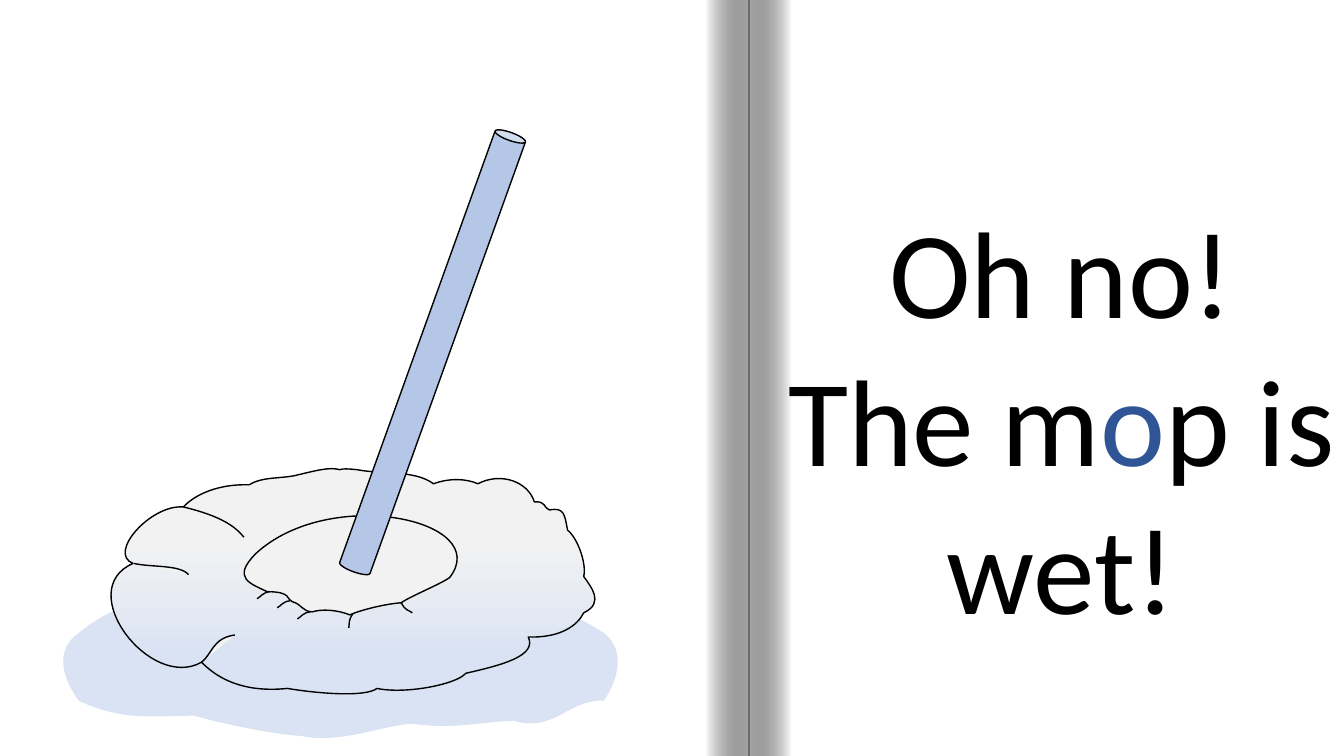
from lxml import etree
from pptx import Presentation
from pptx.dml.color import RGBColor
from pptx.enum.shapes import MSO_SHAPE
from pptx.enum.text import MSO_AUTO_SIZE, PP_ALIGN
from pptx.oxml.ns import qn
from pptx.util import Cm, Pt

RECTANGLE, CAN = MSO_SHAPE.RECTANGLE, MSO_SHAPE.CAN
CENTER = PP_ALIGN.CENTER
GROW = MSO_AUTO_SIZE.SHAPE_TO_FIT_TEXT

BLACK, WHITE = "000000", "FFFFFF"
WOOL, WATER = "F2F2F2", "DAE3F3"
HANDLE_BLUE, VOWEL_BLUE = "B4C7E7", "2F5597"
WIDTH, HEIGHT = 13.33, 7.5

# Outlines in inches: a start point, then three points for each curve
PUDDLE = [
    (0.78, 6.95), (1.21, 7.16), (1.56, 7.1), (1.93, 7.1),
    (2.31, 7.21), (2.84, 7.3), (2.99, 7.3), (3.35, 7.39), (3.85, 7.18), (4.1, 7.18),
    (4.49, 7.24), (4.77, 7.16), (5.09, 7.15), (5.51, 7.27), (5.62, 6.94), (5.99, 6.95),
    (6.21, 6.62), (6.13, 6.38), (5.99, 6.28), (4.85, 5.52), (1.81, 5.42), (0.78, 6.28),
    (0.64, 6.38), (0.52, 6.58), (0.78, 6.95)]
MOP_HEAD = [
    (1.32, 5.59), (1.06, 5.49), (1.5, 5), (1.82, 5.03),
    (1.89, 4.95), (2.1, 4.8), (2.47, 4.81), (2.6, 4.73), (2.77, 4.75), (2.92, 4.72),
    (3.13, 4.67), (3.27, 4.63), (3.37, 4.66), (3.4, 4.65), (3.44, 4.65), (3.54, 4.66),
    (3.8, 4.71), (4.11, 4.66), (4.3, 4.8), (4.46, 4.74), (4.63, 4.75), (4.74, 4.8),
    (4.97, 4.68), (5.24, 4.78), (5.3, 4.98), (5.42, 4.97), (5.39, 5.04), (5.45, 5.06),
    (5.6, 5.03), (5.6, 5.11), (5.63, 5.26), (5.73, 5.34), (5.82, 5.59), (5.79, 5.72),
    (5.86, 5.82), (6, 5.98), (5.79, 6.08), (5.73, 6.2), (5.57, 6.33), (5.24, 6.32),
    (5.33, 6.51), (4.97, 6.6), (4.62, 6.68), (4.53, 6.79), (4.02, 6.89), (3.74, 6.83),
    (3.62, 6.92), (3.15, 6.88), (2.85, 6.83), (2.66, 6.85), (2.28, 6.86), (2, 6.57),
    (1.49, 6.86), (0.72, 5.85), (1.32, 5.59)]
HOLLOW = [
    (2.65, 5.87), (2.49, 5.79), (2.29, 5.74), (2.54, 5.49),
    (3.28, 4.81), (4.9, 5.16), (4.46, 5.73), (4.36, 5.8), (4.06, 5.92), (3.98, 5.98),
    (3.83, 5.99), (3.58, 6.05), (3.47, 6.1), (3.35, 6.05), (3.19, 6.04), (3.1, 6.07),
    (3, 6.07), (2.99, 5.99), (2.9, 5.97), (2.84, 5.95), (2.9, 5.87), (2.65, 5.87)]
FOLDS = [
    [(1.33, 5.59), (1.51, 5.63), (1.78, 5.6), (1.87, 5.7)],
    [(1.82, 5.03), (2.19, 5.12), (2.33, 5.22), (2.42, 5.33)],
    [(2, 6.57), (2.11, 6.48), (2.11, 6.33), (2.33, 6.3)],
    [(3.46, 6.23), (3.47, 6.19), (3.45, 6.16), (3.5, 6.09)],
    [(4.09, 6.08), (4.05, 6.05), (4.02, 6.06), (3.98, 5.98)]]
CURL = [(0, 0), (0.04, -0.02), (0.05, -0.06), (0.13, -0.07)]
CURL_STARTS = [(2.55, 5.94), (2.75, 6.03), (2.95, 6.14)]


def length(inches):
    return Cm(inches * 2.54)


def rgb(hex_color):
    return RGBColor.from_string(hex_color)


def style(shape, fill=None, outlined=False):
    shape.shadow.inherit = False
    if fill:
        shape.fill.solid()
        shape.fill.fore_color.rgb = rgb(fill)
    if outlined:
        shape.line.color.rgb = rgb(BLACK)
        shape.line.width = Pt(1)
    else:
        shape.line.fill.background()


def set_gradient(shape, stops, angle):
    """Fill with stops of (percent, colour, opacity percent)."""
    shape.fill.gradient()
    gradient = shape._element.spPr.find(qn("a:gradFill"))
    for child in list(gradient):
        gradient.remove(child)
    stop_list = etree.SubElement(gradient, qn("a:gsLst"))
    for position, color, opacity in stops:
        stop = etree.SubElement(stop_list, qn("a:gs"), pos=str(position * 1000))
        tint = etree.SubElement(stop, qn("a:srgbClr"), val=color)
        if opacity < 100:
            etree.SubElement(tint, qn("a:alpha"), val=str(opacity * 1000))
    etree.SubElement(gradient, qn("a:lin"), ang=str(angle * 60000), scaled="0")


def add_preset(shapes, preset, left, top, width, height):
    return shapes.add_shape(preset, *map(length, (left, top, width, height)))


def point_on_curve(controls, t):
    weights = ((1 - t) ** 3, 3 * t * (1 - t) ** 2, 3 * t * t * (1 - t), t ** 3)
    return tuple(sum(w * p[axis] for w, p in zip(weights, controls)) for axis in (0, 1))


def add_curves(shapes, outline, closed=True):
    """Size a freeform by points along its curves, then give it true Bezier segments."""
    points = [(length(x), length(y)) for x, y in outline]
    starts = range(0, len(points) - 1, 3)
    samples = [point_on_curve(points[i:i + 4], step / 16)
               for i in starts for step in range(1, 17)]
    builder = shapes.build_freeform(*points[0], scale=1.0)
    builder.add_line_segments(samples, close=closed)
    shape = builder.convert_to_shape()

    path = shape._element.spPr.find(".//" + qn("a:path"))
    for line in path.findall(qn("a:lnTo")):
        path.remove(line)
    for number, i in enumerate(starts, 1):
        curve = etree.Element(qn("a:cubicBezTo"))
        for x, y in points[i + 1:i + 4]:
            etree.SubElement(curve, qn("a:pt"), x=str(x - shape.left), y=str(y - shape.top))
        path.insert(number, curve)
    return shape


def add_book_pages(slide):
    pages = slide.shapes.add_group_shape().shapes
    style(add_preset(pages, RECTANGLE, 0, 0, WIDTH, HEIGHT), WHITE)
    # Shadows on both sides of the fold
    for left, angle in ((7.42, 180), (7, 0)):
        fold_shadow = add_preset(pages, RECTANGLE, left, 0, 0.43, HEIGHT)
        style(fold_shadow)
        set_gradient(fold_shadow, [(0, WHITE, 100), (100, BLACK, 34)], angle)


def add_story(slide):
    story = slide.shapes.add_textbox(*map(length, (7.68, 1.89, 5.69, 4.54)))
    frame = story.text_frame
    frame.word_wrap = True
    frame.auto_size = GROW
    paragraph = frame.paragraphs[0]
    paragraph.alignment = CENTER
    for words, color in (("Oh no!", BLACK), (None, None), ("The m", BLACK),
                         ("o", VOWEL_BLUE), ("p is wet!", BLACK)):
        if words is None:
            paragraph.add_line_break()
            continue
        run = paragraph.add_run()
        run.text = words
        run.font.name = "Calibri"
        run.font.size = Pt(88)
        run.font.color.rgb = rgb(color)


def add_mop(slide):
    mop = slide.shapes.add_group_shape().shapes
    head = add_curves(mop, MOP_HEAD)
    style(head, outlined=True)
    set_gradient(head, [(0, WOOL, 100), (33, WOOL, 100),
                        (83, WATER, 100), (100, WATER, 100)], 90)
    style(add_curves(mop, HOLLOW), WOOL, outlined=True)
    # Folds and curls of the wool
    curls = [[(x + dx, y + dy) for dx, dy in CURL] for x, y in CURL_STARTS]
    for strand in FOLDS + curls:
        style(add_curves(mop, strand, closed=False), WOOL, outlined=True)
    # Handle
    handle = add_preset(mop, CAN, 4.13, 1.18, 0.32, 4.63)
    handle.rotation = 19.8
    style(handle, HANDLE_BLUE, outlined=True)


def main():
    deck = Presentation()
    deck.slide_width, deck.slide_height = length(WIDTH), length(HEIGHT)
    slide = deck.slides.add_slide(deck.slide_layouts[6])
    slide.background.fill.solid()
    slide.background.fill.fore_color.rgb = rgb(BLACK)

    add_book_pages(slide)
    add_story(slide)
    style(add_curves(slide.shapes, PUDDLE), WATER)
    add_mop(slide)
    deck.save("out.pptx")


if __name__ == "__main__":
    main()
